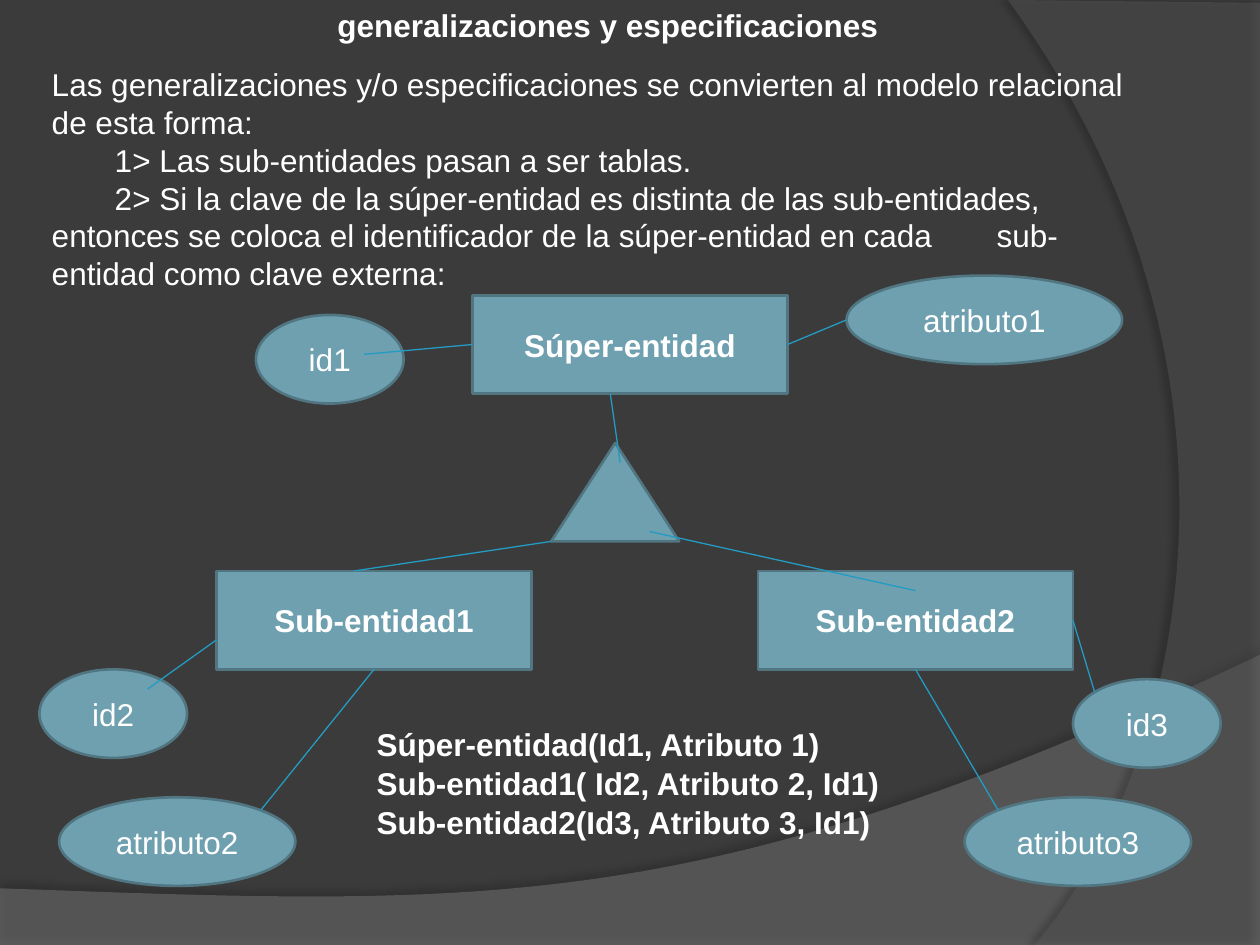
import dataclasses
import pptx
import pptx.dml.color
import pptx.enum.dml
import pptx.enum.shapes
import pptx.enum.text
import pptx.oxml
import pptx.oxml.ns
import pptx.util

SHAPE = pptx.enum.shapes.MSO_SHAPE
ALIGN = pptx.enum.text.PP_ALIGN
ANCHOR = pptx.enum.text.MSO_ANCHOR
COLUMNS, ROWS = 128, 96
CELL = pptx.util.Inches(10) / COLUMNS


@dataclasses.dataclass(frozen=True)
class Theme:
    background: str = "3B3B3B"
    lower_wave: str = "7F7F7F"
    right_wave: str = "5E5E5E"
    node: str = "6EA0B0"
    outline: str = "517682"
    link: str = "239BC2"
    text: str = "FFFFFF"
    font: str = "Arial"
    size: float = 18
    outline_width: float = 1.5
    link_width: float = 0.75


@dataclasses.dataclass(frozen=True)
class Box:
    left: float
    top: float
    width: float
    height: float

    def point(self, column, row):
        return round((self.left + column) * CELL), round((self.top + row) * CELL)

    def area(self, column, row, width, height):
        return (*self.point(column, row), round(width * CELL), round(height * CELL))

    def whole(self):
        return self.area(0, 0, self.width, self.height)


THEME = Theme()


def color(value):
    return pptx.dml.color.RGBColor.from_string(value)


def write(frame, lines, bold=False, align=ALIGN.LEFT, anchor=ANCHOR.TOP, wrap=True):
    frame.word_wrap = wrap
    frame.auto_size = pptx.enum.text.MSO_AUTO_SIZE.NONE
    frame.vertical_anchor = anchor
    frame.margin_left = frame.margin_right = pptx.util.Inches(0.1)
    frame.margin_top = frame.margin_bottom = pptx.util.Inches(0.05)
    frame.text = "\n".join(lines)
    for para in frame.paragraphs:
        para.alignment = align
        para.font.name = THEME.font
        para.font.size = pptx.util.Pt(THEME.size)
        para.font.bold = bold
        para.font.color.rgb = color(THEME.text)


def curve(start, first, second, end, steps=60):
    for step in range(1, steps + 1):
        t = step / steps
        weights = ((1 - t) ** 3, 3 * t * (1 - t) ** 2, 3 * t * t * (1 - t), t ** 3)
        yield tuple(
            sum(w * p[axis] for w, p in zip(weights, (start, first, second, end)))
            for axis in (0, 1)
        )


def wave(page, box, shares, fill, opacity, shadow_opacity, angle):
    points = [box.point(x * box.width, y * box.height) for x, y in shares]
    builder = page.shapes.build_freeform(*points[0])
    builder.add_line_segments(points[1:], close=True)
    shape = builder.convert_to_shape()
    shape.line.fill.background()
    shape.fill.solid()
    shape.fill.fore_color.rgb = color(fill)
    space = pptx.oxml.ns.nsdecls("a")
    tint = shape.fill._xPr.find(".//" + pptx.oxml.ns.qn("a:srgbClr"))
    tint.append(pptx.oxml.parse_xml(f'<a:alpha {space} val="{opacity * 1000}"/>'))
    shape._element.spPr.append(pptx.oxml.parse_xml(
        f'<a:effectLst {space}><a:outerShdw blurRad="{pptx.util.Pt(4)}" '
        f'dist="{pptx.util.Pt(4)}" dir="{angle * 60000}" rotWithShape="0">'
        f'<a:srgbClr val="000000"><a:alpha val="{shadow_opacity * 1000}"/>'
        '</a:srgbClr></a:outerShdw></a:effectLst>'
    ))


def backdrop(page, box):
    page.background.fill.solid()
    page.background.fill.fore_color.rgb = color(THEME.background)
    lower = [(0, 0.94), (0, 1), (1, 1), (1, 0.693)]
    lower += curve(lower[-1], (0.559, 0.972), (0.391, 0.959), lower[0])
    wave(page, box, lower, THEME.lower_wave, 45, 35, 270)
    right = [(1, 0.003), (1, 1), (0.821, 1)]
    right += curve(right[-1], (0.935, 0.825), (1.018, 0.4), (0.8, 0))
    wave(page, box, right, THEME.right_wave, 40, 45, 180)


def heading(page, box, text):
    title = page.shapes.title
    title.left, title.top, title.width, title.height = box.whole()
    write(title.text_frame, [text], bold=True, wrap=False)


def explanation(page, box, lines):
    write(page.shapes.add_textbox(*box.whole()).text_frame, lines)


def node(page, kind, area, text="", bold=False):
    shape = page.shapes.add_shape(kind, *area)
    shape.shadow.inherit = False
    shape.fill.solid()
    shape.fill.fore_color.rgb = color(THEME.node)
    shape.line.color.rgb = color(THEME.outline)
    shape.line.width = pptx.util.Pt(THEME.outline_width)
    if text:
        write(shape.text_frame, [text], bold, ALIGN.CENTER, ANCHOR.MIDDLE)


def link(page, start, end):
    line = page.shapes.add_connector(
        pptx.enum.shapes.MSO_CONNECTOR.STRAIGHT, *start, *end)
    line.line.color.rgb = color(THEME.link)
    line.line.width = pptx.util.Pt(THEME.link_width)
    line._element.spPr.append(pptx.oxml.parse_xml(
        f'<a:effectLst {pptx.oxml.ns.nsdecls("a")}/>'))


def diagram(page, box, entities, attributes, triangle, links):
    for text, column, row in entities:
        node(page, SHAPE.RECTANGLE, box.area(column, row, 32, 10), text, True)
    node(page, SHAPE.ISOSCELES_TRIANGLE, box.area(*triangle))
    for text, column, row, width in attributes:
        node(page, SHAPE.OVAL, box.area(column, row, width, 9), text)
    for start, end in links:
        link(page, box.point(*start), box.point(*end))


def schema(page, box, relations):
    pitch = box.height / len(relations)
    for index, relation in enumerate(relations):
        area = box.area(0, index * pitch, box.width, 5.1)
        write(page.shapes.add_textbox(*area).text_frame, [relation], True, wrap=False)


deck = pptx.Presentation()
deck.slide_width = round(COLUMNS * CELL)
deck.slide_height = round(ROWS * CELL)
page = deck.slides.add_slide(deck.slide_layouts.get_by_name("Title Only"))

backdrop(page, Box(0, 0, COLUMNS, ROWS))
heading(page, Box(33, 0, 58, 5.1), "generalizaciones y especificaciones")
explanation(page, Box(4, 6, 115, 24.6), [
    "Las generalizaciones y/o especificaciones se convierten al modelo relacional "
    "de esta forma:",
    "\t1> Las sub-entidades pasan a ser tablas.",
    "\t2> Si la clave de la súper-entidad es distinta de las sub-entidades, "
    "\tentonces se coloca el identificador de la súper-entidad en cada "
    "\tsub-entidad como clave externa:",
])
diagram(
    page, Box(0, 28, COLUMNS, 62),
    entities=[("Súper-entidad", 48, 2), ("Sub-entidad1", 22, 30), ("Sub-entidad2", 77, 30)],
    attributes=[
        ("id1", 26, 4, 15), ("atributo1", 86, 0, 28),
        ("id2", 4, 40, 15), ("atributo2", 6, 53, 24),
        ("id3", 109, 41, 15), ("atributo3", 98, 53, 23),
    ],
    triangle=(56, 17, 13, 10),
    links=[
        ((62, 12), (63, 19)), ((56, 27), (36, 30)), ((66, 26), (93, 32)),
        ((48, 7), (37, 8)), ((80, 7), (86, 4.5)),
        ((22, 37), (15, 42)), ((38, 40), (26.5, 54.3)),
        ((109, 35), (111.2, 42.3)), ((93, 40), (101.4, 54.3)),
    ],
)
schema(page, Box(37, 73, 54, 12), [
    "Súper-entidad(Id1, Atributo 1)",
    "Sub-entidad1( Id2, Atributo 2, Id1)",
    "Sub-entidad2(Id3, Atributo 3, Id1)",
])
deck.save("out.pptx")
